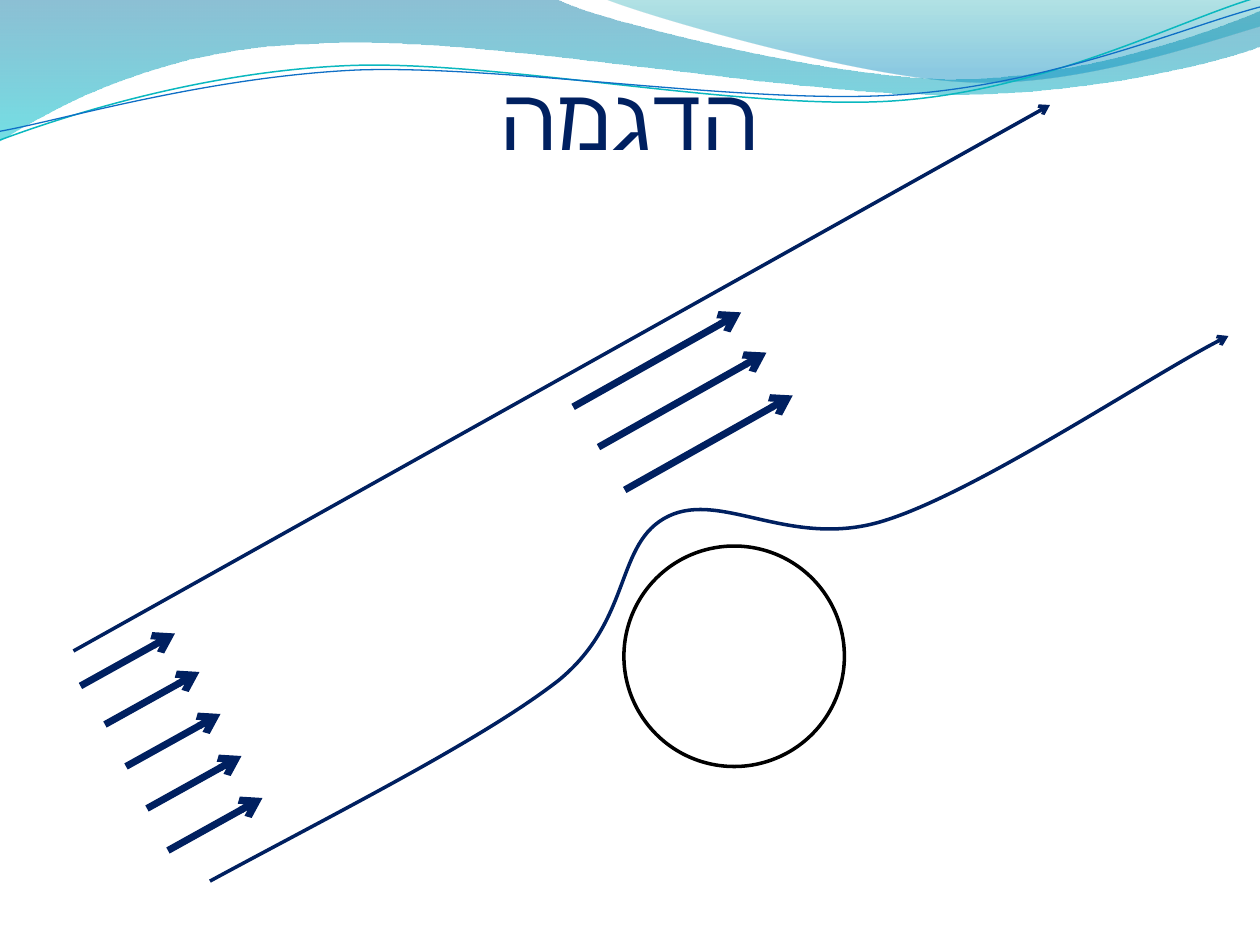
from itertools import pairwise

from lxml import etree
from pptx import Presentation
from pptx.dml.color import RGBColor
from pptx.enum import shapes, text
from pptx.oxml.ns import qn
from pptx.util import Pt

# Content: lengths in points
TITLE = "הדגמה"
NAVY, BLACK, WHITE = "002060", "000000", "FFFFFF"

# An outline is a start point, then lines (x, y) and Bézier curves (six numbers)
BANDS = [  # outline, gradient stops (position, colour, opacity in percent)
    ([(0, 0), (317, -1), (343, 12, 478, 45, 546, 45), (614, 45, 690, 19, 720, 6),
      (721, 26), (708, 32, 626, 55, 537, 54), (447, 54, 275, 20, 185, 24.5),
      (93, 26, 33, 60, -1, 81)],
     [(0, "0074A1", 45), (1, "00C6CF", 55)]),
    ([(345, -1), (366, 8, 491, 45, 554, 47), (616, 50, 692, 23, 720, 15), (720, 0)],
     [(0, "00A1A9", 30), (0.8, "008BBF", 45)]),
]
WAVES = [  # outline, colour, width
    ([(0, 80), (35, 67, 114, 41, 199, 37.5), (284, 34, 427, 64, 513, 57.5),
      (600, 51, 675, 11, 718.5, -1.5)], "0AB8BF", 0.85),
    ([(0, 75), (34, 69, 118, 44, 204, 40), (290, 37, 430, 60.5, 516, 54),
      (602, 48, 678, 15, 720, 4)], "0F6FC6", 0.75),
]
BENT_PATH = [(120, 503.5), (193, 464, 275, 423, 319, 389),
             (362, 354, 351, 310, 382, 295), (413, 280, 453, 315, 507, 297),
             (560, 280, 666, 209, 702, 192)]
OBSTACLE = (356.5, 312, 126, 126)
ARROWS = [  # start points, run, rise, width
    ([(42, 372)], 558, 312, 2),
    ([(46, 392), (60, 414), (72, 438), (84, 462), (96, 486)], 54, 30, 4),
    ([(327.5, 232.5), (342, 255.5), (357, 280)], 96, 54, 4),
]


def paint(color_format, color):
    color_format.rgb = RGBColor.from_string(color)


def style_line(shape, color, width, arrow=False):
    paint(shape.line.fill_color if hasattr(shape.line, "fill_color") else shape.line.color, color)
    shape.line.width = Pt(width)
    properties = shape._element.spPr
    if arrow:
        etree.SubElement(properties.find(qn("a:ln")), qn("a:tailEnd"), type="arrow")
    if properties.find(qn("a:effectLst")) is None:
        etree.SubElement(properties, qn("a:effectLst"))


def add_outline(slide, outline, close=False):
    """Draw all points as a polygon, then join each curve's three points."""
    points = [tuple(map(Pt, pair)) for part in outline
              for pair in zip(part[::2], part[1::2])]
    builder = slide.shapes.build_freeform(*points[0], scale=1.0)
    builder.add_line_segments(points[1:], close=close)
    shape = builder.convert_to_shape()
    segments = iter(list(shape._element.iter(qn("a:lnTo"))))
    for part in outline[1:]:
        first = next(segments)
        if len(part) == 6:
            first.tag = qn("a:cubicBezTo")
            for _ in range(2):
                control = next(segments)
                first.append(control[0])
                control.getparent().remove(control)
    shape.fill.background()
    shape.line.fill.background()
    return shape


def add_band(slide, outline, stops):
    shape = add_outline(slide, outline, close=True)
    shape.shadow.inherit = False
    shape.fill.gradient()
    shape.fill.gradient_angle = 270
    for stop, (position, color, opacity) in zip(shape.fill.gradient_stops, stops):
        stop.position = position
        paint(stop.color, color)
    colors = shape._element.spPr.find(qn("a:gradFill")).iter(qn("a:srgbClr"))
    for element, (_, _, opacity) in zip(colors, stops):
        etree.SubElement(element, qn("a:alpha"), val=str(opacity * 1000))


def add_title(slide):
    title = slide.shapes.title
    slide.shapes._spTree.append(title._element)  # in front of the waves
    title.left, title.top, title.width, title.height = map(Pt, (36, 0, 648, 96))
    frame = title.text_frame
    frame.text = TITLE
    frame_format = {"vertical_anchor": text.MSO_ANCHOR.BOTTOM, "word_wrap": True,
                    "auto_size": text.MSO_AUTO_SIZE.NONE, "margin_left": 0,
                    "margin_top": Pt(3.6), "margin_right": 0, "margin_bottom": 0}
    for name, value in frame_format.items():
        setattr(frame, name, value)
    paragraph = frame.paragraphs[0]
    paragraph.alignment = text.PP_ALIGN.CENTER
    paragraph._p.get_or_add_pPr().set("rtl", "1")
    font = paragraph.runs[0].font
    for name, value in {"name": "Calibri", "size": Pt(50), "bold": False}.items():
        setattr(font, name, value)
    paint(font.color, NAVY)
    etree.SubElement(font._element, qn("a:cs"), typeface="Calibri")


def main():
    presentation = Presentation()
    presentation.slide_width, presentation.slide_height = Pt(720), Pt(540)
    slide = presentation.slides.add_slide(presentation.slide_layouts[5])

    # Header waves and title
    for outline, stops in BANDS:
        add_band(slide, outline, stops)
    for outline, color, width in WAVES:
        style_line(add_outline(slide, outline), color, width)
    add_title(slide)

    # Obstacle and the path bending around it
    circle = slide.shapes.add_shape(shapes.MSO_SHAPE.OVAL, *map(Pt, OBSTACLE))
    circle.fill.solid()
    paint(circle.fill.fore_color, WHITE)
    style_line(circle, BLACK, 2)
    style_line(add_outline(slide, BENT_PATH), NAVY, 2, arrow=True)

    # Straight arrows, parallel within each group
    for starts, run, rise, width in ARROWS:
        for x, y in starts:
            arrow = slide.shapes.add_connector(
                shapes.MSO_CONNECTOR.STRAIGHT, *map(Pt, (x, y, x + run, y - rise)))
            style_line(arrow, NAVY, width, arrow=True)

    presentation.save("out.pptx")


if __name__ == "__main__":
    main()
